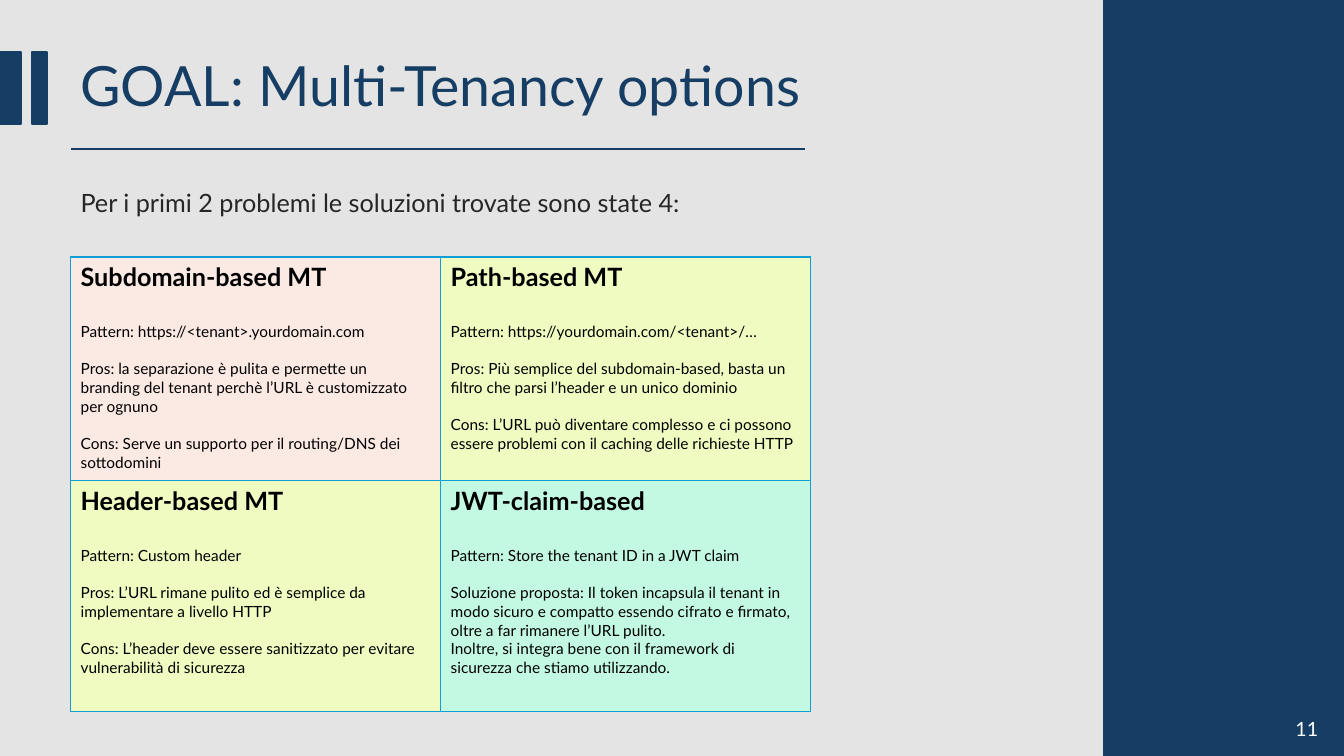
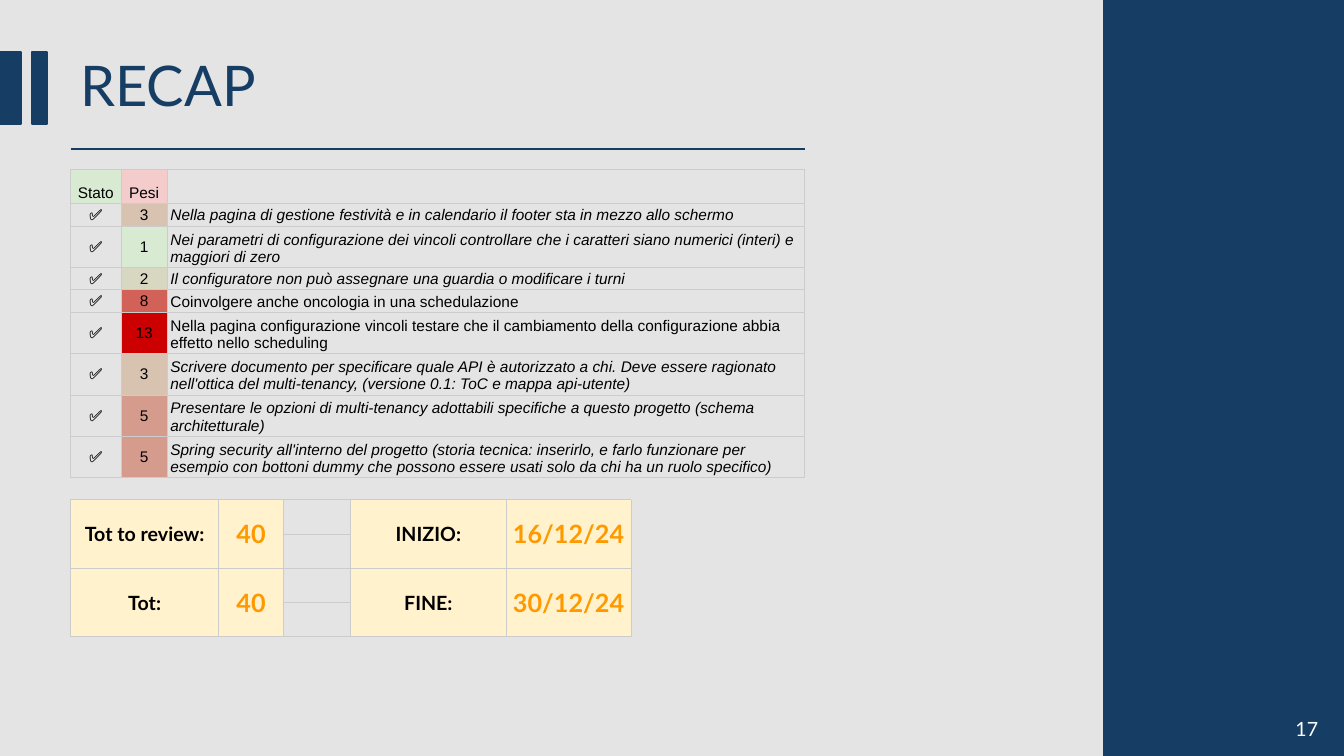
from dataclasses import dataclass

from lxml.etree import SubElement
from pptx import Presentation
from pptx.dml.color import RGBColor
from pptx.enum.shapes import MSO_CONNECTOR, MSO_SHAPE
from pptx.enum.text import MSO_ANCHOR, PP_ALIGN
from pptx.oxml import parse_xml
from pptx.oxml.ns import nsdecls, qn
from pptx.util import Inches, Pt

NAVY, PAPER, INK = "163E64", "E4E4E4", "262626"
WHITE, BLACK, ORANGE = "FFFFFF", "000000", "FF9900"
ROSE, LIME, MINT, CREAM = "FBE9E3", "F0FBC1", "C3F9E3", "FFF2CC"
BLUE_RULE, GREY_RULE = "0F9ED5", "CCCCCC"
WEIGHT_FILLS = {"1": "D9EAD3", "2": "D8D7C2", "3": "D7C3B0",
                "5": "D59C8D", "8": "D26258", "13": "CC0000"}

LEFT = 0.7
WIDE_INSETS = (0.1, 0.05)
TIGHT_INSETS = (0.03, 0.02)


def rgb(code):
    return RGBColor.from_string(code)


def set_format(target, values):
    for name, value in values.items():
        setattr(target, name, value)


@dataclass
class Line:
    text: str
    size: float = 11
    color: str = BLACK
    font: str = "Lato"
    bold: bool = False
    italic: bool = False
    align: PP_ALIGN = PP_ALIGN.LEFT
    before: float = 0
    spacing: float = 1.0


@dataclass
class Cell:
    lines: list
    fill: str = ""
    anchor: MSO_ANCHOR = MSO_ANCHOR.MIDDLE


class Deck:
    def __init__(self):
        self.presentation = Presentation()
        set_format(self.presentation, {"slide_width": Inches(13.33),
                                       "slide_height": Inches(7.5)})
        self.slide = None

    def add_slide(self, title, number, title_size=40):
        self.slide = self.presentation.slides.add_slide(
            self.presentation.slide_layouts[6])
        background = self.slide.background.fill
        background.solid()
        background.fore_color.rgb = rgb(PAPER)
        self.text(LEFT, 0.52, 8.14, 0.71,
                  Line(title, title_size, NAVY, spacing=0.9), MSO_ANCHOR.MIDDLE)
        # Title bars and side band
        for band in ((0, 0.52, 0.21, 0.71), (0.32, 0.52, 0.15, 0.71),
                     (10.95, 0, 2.39, 7.5)):
            self.band(*band)
        self.rule(LEFT, 1.48, 7.98)
        self.text(12.75, 7.06, 0.48, 0.34, Line(number, 14, WHITE))

    def add_lines(self, frame, lines):
        for index, line in enumerate(lines):
            paragraph = frame.add_paragraph() if index else frame.paragraphs[0]
            set_format(paragraph, {"alignment": line.align,
                                   "line_spacing": line.spacing})
            if line.before:
                paragraph.space_before = Pt(line.before)
            run = paragraph.add_run()
            run.text = line.text
            set_format(run.font, {"name": line.font, "size": Pt(line.size),
                                  "bold": line.bold, "italic": line.italic})
            run.font.color.rgb = rgb(line.color)

    def text(self, left, top, width, height, line, anchor=MSO_ANCHOR.TOP):
        box = self.slide.shapes.add_textbox(
            Inches(left), Inches(top), Inches(width), Inches(height))
        set_format(box.text_frame, {"word_wrap": True, "vertical_anchor": anchor})
        self.add_lines(box.text_frame, [line])

    def band(self, left, top, width, height):
        band = self.slide.shapes.add_shape(
            MSO_SHAPE.RECTANGLE,
            Inches(left), Inches(top), Inches(width), Inches(height))
        band.shadow.inherit = False
        band.fill.solid()
        band.fill.fore_color.rgb = rgb(NAVY)
        band.line.color.rgb = rgb(NAVY)
        band.line.width = Pt(1.5)

    def rule(self, left, top, right):
        rule = self.slide.shapes.add_connector(
            MSO_CONNECTOR.STRAIGHT,
            Inches(left), Inches(top), Inches(right), Inches(top))
        rule.line.color.rgb = rgb(NAVY)
        rule.line.width = Pt(1.5)
        SubElement(rule._element.spPr, qn("a:effectLst"))

    def table(self, top, widths, heights, rows, border, border_width, insets):
        table = self.slide.shapes.add_table(
            len(rows), len(widths), Inches(LEFT), Inches(top),
            Inches(sum(widths)), Inches(sum(heights))).table
        set_format(table, {"first_row": False, "horz_banding": False})
        for column, width in zip(table.columns, widths):
            column.width = Inches(width)
        for row, height in zip(table.rows, heights):
            row.height = Inches(height)
        for r, row in enumerate(rows):
            for c, content in enumerate(row):
                self.cell(table.cell(r, c), content, border, border_width, insets)
        return table

    def cell(self, cell, content, border, border_width, insets):
        side, edge = map(Inches, insets)
        set_format(cell, {"margin_left": side, "margin_right": side,
                          "margin_top": edge, "margin_bottom": edge,
                          "vertical_anchor": content.anchor})
        if content.fill:
            cell.fill.solid()
            cell.fill.fore_color.rgb = rgb(content.fill)
        else:
            cell.fill.background()
        if content.lines:
            self.add_lines(cell.text_frame, content.lines)
        else:
            SubElement(cell.text_frame.paragraphs[0]._p,
                       qn("a:endParaRPr"), sz="1100")
        properties = cell._tc.get_or_add_tcPr()
        for index, name in enumerate(("lnL", "lnR", "lnT", "lnB")):
            properties.insert(index, parse_xml(
                f'<a:{name} {nsdecls("a")} w="{Pt(border_width)}"><a:solidFill>'
                f'<a:srgbClr val="{border}"/></a:solidFill></a:{name}>'))


def option(fill, heading, *blocks):
    """One tenancy option: the gap before a block is one line of text above."""
    lines = [Line(heading, 18, bold=True)]
    for number, block in enumerate(blocks):
        first, *others = block.split("\n")
        lines.append(Line(first, before=13.2 if number else 21.6))
        lines += [Line(other) for other in others]
    return Cell(lines, fill, MSO_ANCHOR.TOP)


def recap_cell(text, fill="", anchor=MSO_ANCHOR.MIDDLE,
               align=PP_ALIGN.CENTER, italic=False):
    return Cell([Line(text, font="Arial", align=align, italic=italic)],
                fill, anchor)


def total_cell(text, size, color):
    return Cell([Line(text, size, color, bold=True, align=PP_ALIGN.CENTER)], CREAM)


def build_options(deck):
    deck.add_slide("GOAL: Multi-Tenancy options", "11", 39.6)
    deck.text(LEFT, 1.81, 7.28, 0.4, Line(
        "Per i primi 2 problemi le soluzioni trovate sono state 4:", 18, INK))
    # Four tenancy options
    options = [
        [option(ROSE, "Subdomain-based MT",
                "Pattern: https://<tenant>.yourdomain.com",
                "Pros: la separazione è pulita e permette un branding del tenant "
                "perchè l’URL è customizzato per ognuno",
                "Cons: Serve un supporto per il routing/DNS dei sottodomini"),
         option(LIME, "Path-based MT",
                "Pattern: https://yourdomain.com/<tenant>/…",
                "Pros: Più semplice del subdomain-based, basta un filtro che parsi "
                "l’header e un unico dominio",
                "Cons: L’URL può diventare complesso e ci possono essere problemi "
                "con il caching delle richieste HTTP")],
        [option(LIME, "Header-based MT",
                "Pattern: Custom header",
                "Pros: L’URL rimane pulito ed è semplice da implementare a livello "
                "HTTP",
                "Cons: L’header deve essere sanitizzato per evitare vulnerabilità "
                "di sicurezza"),
         option(MINT, "JWT-claim-based",
                "Pattern: Store the tenant ID in a JWT claim",
                "Soluzione proposta: Il token incapsula il tenant in modo sicuro e "
                "compatto essendo cifrato e firmato, oltre a far rimanere l’URL "
                "pulito.\nInoltre, si integra bene con il framework di sicurezza "
                "che stiamo utilizzando.")],
    ]
    deck.table(2.55, [3.67] * 2, [2.22, 2.29], options, BLUE_RULE, 1, WIDE_INSETS)


def build_recap(deck):
    deck.add_slide("RECAP", "17")
    # Tasks: weight, italic, row height, description
    one_line, two_lines = 0.22, 0.41
    tasks = [
        ("3", True, one_line, "Nella pagina di gestione festività e in calendario "
         "il footer sta in mezzo allo schermo"),
        ("1", True, two_lines, "Nei parametri di configurazione dei vincoli "
         "controllare che i caratteri siano numerici (interi) e maggiori di zero"),
        ("2", True, one_line, "Il configuratore non può assegnare una guardia o "
         "modificare i turni"),
        ("8", False, one_line, "Coinvolgere anche oncologia in una schedulazione"),
        ("13", False, two_lines, "Nella pagina configurazione vincoli testare che "
         "il cambiamento della configurazione abbia effetto nello scheduling"),
        ("3", True, two_lines, "Scrivere documento per specificare quale API è "
         "autorizzato a chi. Deve essere ragionato nell'ottica del multi-tenancy, "
         "(versione 0.1: ToC e mappa api-utente)"),
        ("5", True, two_lines, "Presentare le opzioni di multi-tenancy adottabili "
         "specifiche a questo progetto (schema architetturale)"),
        ("5", True, two_lines, "Spring security all'interno del progetto (storia "
         "tecnica: inserirlo, e farlo funzionare per esempio con bottoni dummy che "
         "possono essere usati solo da chi ha un ruolo specifico)"),
    ]
    rows = [[recap_cell("Stato", "D9EAD3", MSO_ANCHOR.BOTTOM),
             recap_cell("Pesi", "F4CCCC", MSO_ANCHOR.BOTTOM), Cell([])]]
    heights = [0.34]
    for weight, italic, height, description in tasks:
        rows.append([recap_cell("✅"), recap_cell(weight, WEIGHT_FILLS[weight]),
                     recap_cell(description, "", MSO_ANCHOR.BOTTOM,
                                PP_ALIGN.LEFT, italic)])
        heights.append(height)
    deck.table(1.68, [0.5, 0.46, 6.32], heights, rows,
               GREY_RULE, 0.75, TIGHT_INSETS)

    # Totals and dates, each label and value two rows high
    totals = [("Tot to review:", "40", "INIZIO:", "16/12/24"),
              ("Tot:", "40", "FINE:", "30/12/24")]
    rows = []
    for review, points, moment, date in totals:
        rows.append([total_cell(review, 14, BLACK), total_cell(points, 18, ORANGE),
                     Cell([]),
                     total_cell(moment, 14, BLACK), total_cell(date, 18, ORANGE)])
        rows.append([Cell([])] * 5)
    summary = deck.table(4.96, [1.47, 0.64, 0.67, 1.54, 1.24], [0.34] * 4, rows,
                         GREY_RULE, 0.75, TIGHT_INSETS)
    for row in (0, 2):
        for column in (0, 1, 3, 4):
            summary.cell(row, column).merge(summary.cell(row + 1, column))


def main():
    deck = Deck()
    build_options(deck)
    build_recap(deck)
    deck.presentation.save("out.pptx")


if __name__ == "__main__":
    main()
